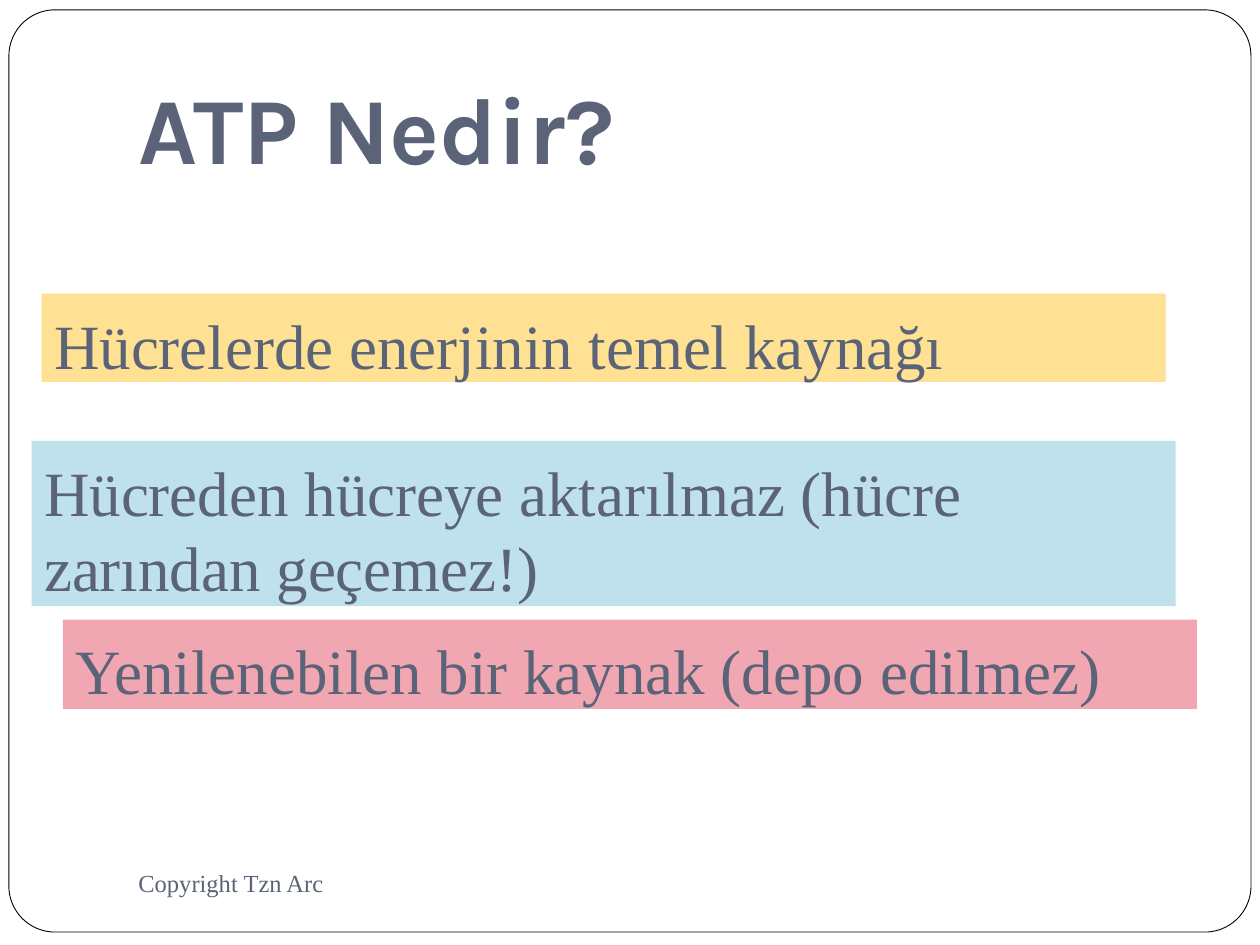
"""Build the slide that explains what ATP is."""
from typing import NamedTuple

from pptx import Presentation
from pptx import util as u
from pptx.dml.color import RGBColor
from pptx.enum import shapes, text

INK = "5A6378"
SERIF = "Times New Roman"


class Fact(NamedTuple):
    wording: str
    left: float
    top: float
    width: float
    height: float
    fill: str


FACTS = [
    Fact("Hücrelerde enerjinin temel kaynağı", 0.84, 5.92, 22.66, 1.78, "FFE193"),
    Fact("Hücreden hücreye aktarılmaz (hücre zarından geçemez!)",
         0.64, 8.89, 23.06, 3.33, "BFE1EB"),
    Fact("Yenilenebilen bir kaynak (depo edilmez)", 1.27, 12.49, 22.86, 1.8, "F0A7B1"),
]


def colour(code: str) -> RGBColor:
    return RGBColor.from_string(code)


def write(frame, wording: str, size: float, font: str = SERIF, bold: bool = False,
          anchor=text.MSO_ANCHOR.TOP, top: float = 0.13, bottom: float = 0.13) -> None:
    frame.word_wrap = True
    frame.vertical_anchor = anchor
    frame.margin_left = frame.margin_right = u.Cm(0.25)
    frame.margin_top, frame.margin_bottom = u.Cm(top), u.Cm(bottom)
    paragraph = frame.paragraphs[0]
    paragraph.alignment = text.PP_ALIGN.LEFT
    run = paragraph.add_run()
    run.text = wording
    run.font.size = u.Pt(size)
    run.font.name = font
    run.font.bold = bold
    run.font.color.rgb = colour(INK)


def add_panel(slide, kind, left: float, top: float, width: float, height: float, fill: str):
    panel = slide.shapes.add_shape(kind, u.Cm(left), u.Cm(top), u.Cm(width), u.Cm(height))
    panel.shadow.inherit = False
    panel.fill.solid()
    panel.fill.fore_color.rgb = colour(fill)
    panel.line.fill.background()
    return panel


def add_border(slide) -> None:
    border = add_panel(slide, shapes.MSO_SHAPE.ROUNDED_RECTANGLE,
                       0.18, 0.2, 25.04, 18.59, "FFFFFF")
    border.adjustments[0] = 0.05
    border.line.color.rgb = colour("000000")
    border.line.width = u.Pt(0.5)


def add_fact(slide, fact: Fact) -> None:
    panel = add_panel(slide, shapes.MSO_SHAPE.RECTANGLE, *fact[1:])
    write(panel.text_frame, fact.wording, 36, top=0.25, bottom=0)


def main() -> None:
    deck = Presentation()
    deck.slide_width, deck.slide_height = u.Cm(25.4), u.Cm(19.05)
    slide = deck.slides.add_slide(deck.slide_layouts[6])
    add_border(slide)
    title = slide.shapes.add_textbox(u.Cm(2.54), u.Cm(0.76), u.Cm(21.59), u.Cm(3.18))
    write(title.text_frame, "ATP Nedir?", 54, "Karla", True,
          text.MSO_ANCHOR.BOTTOM, bottom=0.25)
    for fact in FACTS:
        add_fact(slide, fact)
    footer = slide.shapes.add_textbox(u.Cm(2.54), u.Cm(17.15), u.Cm(11), u.Cm(1.27))
    write(footer.text_frame, "Copyright Tzn Arc", 14, anchor=text.MSO_ANCHOR.MIDDLE)
    deck.save("out.pptx")


if __name__ == "__main__":
    main()
